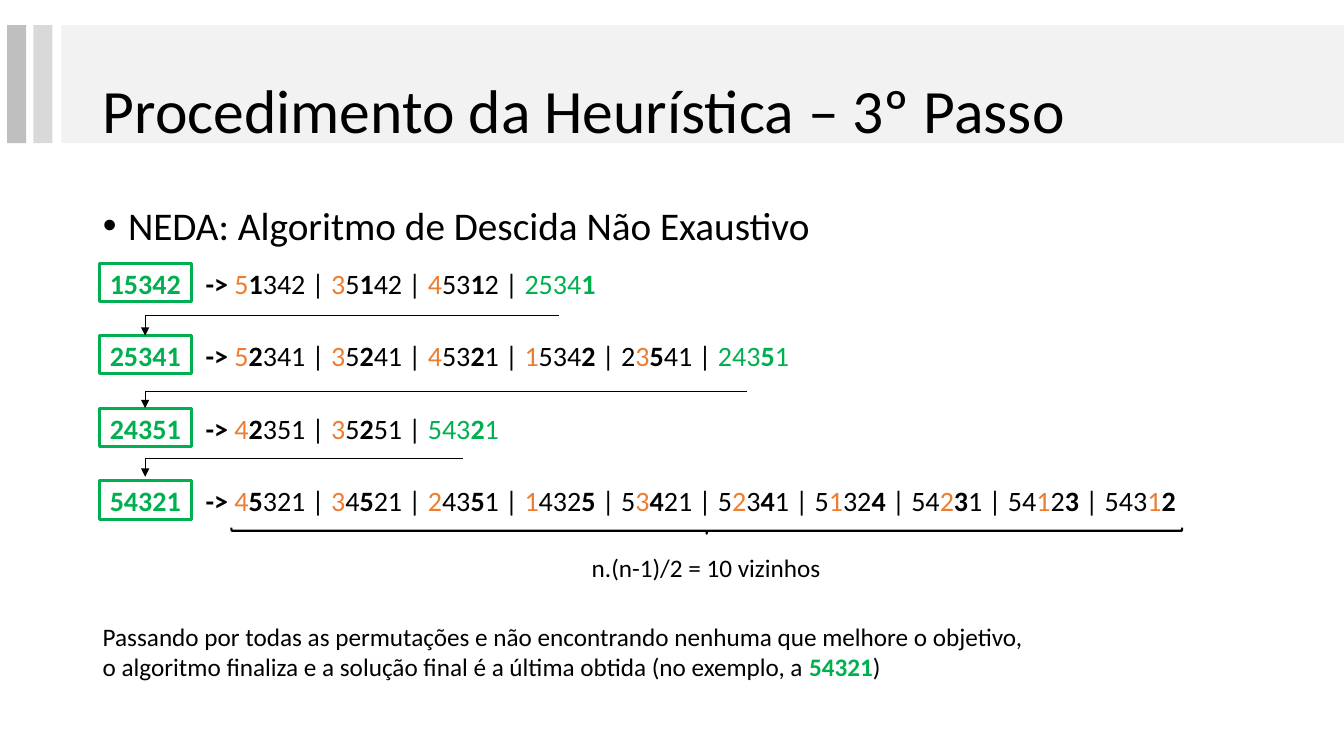
from dataclasses import dataclass
from itertools import combinations

from lxml import etree
from pptx import Presentation
from pptx.dml.color import RGBColor
from pptx.enum.shapes import MSO_CONNECTOR, MSO_SHAPE
from pptx.enum.text import MSO_ANCHOR, MSO_AUTO_SIZE, PP_ALIGN
from pptx.oxml.ns import qn
from pptx.util import Inches, Pt

RECTANGLE, LEFT_BRACE = MSO_SHAPE.RECTANGLE, MSO_SHAPE.LEFT_BRACE
ELBOW = MSO_CONNECTOR.ELBOW
LEFT, MIDDLE, TOP = PP_ALIGN.LEFT, MSO_ANCHOR.MIDDLE, MSO_ANCHOR.TOP
NO_FIT, GROW = MSO_AUTO_SIZE.NONE, MSO_AUTO_SIZE.SHAPE_TO_FIT_TEXT


@dataclass(frozen=True)
class Theme:
    font: str = "Calibri"
    text: str = "000000"
    accepted: str = "00B050"
    swapped: str = "ED7D31"
    bars: tuple = ("F2F2F2", "D9D9D9", "BFBFBF")
    title_size: int = 44
    list_size: int = 28
    row_size: int = 20
    note_size: int = 18


class SlideBuilder:
    def __init__(self, slide, theme):
        self.slide, self.theme = slide, theme

    def style(self, run, size, color=None, bold=False):
        run.font.name, run.font.size, run.font.bold = self.theme.font, Pt(size), bold
        run.font.color.rgb = RGBColor.from_string(color or self.theme.text)

    def placeholder(self, index, text, box, size, anchor):
        holder = self.slide.placeholders[index]
        holder.left, holder.top, holder.width, holder.height = map(Inches, box)
        frame = holder.text_frame
        frame.text = text
        frame.auto_size, frame.vertical_anchor = NO_FIT, anchor
        paragraph = frame.paragraphs[0]
        paragraph.alignment, paragraph.line_spacing = LEFT, 0.9
        self.style(paragraph.runs[0], size)
        return paragraph

    def bullet(self, paragraph, indent):
        paragraph.space_before = Pt(10)
        properties = paragraph._p.get_or_add_pPr()
        properties.set("marL", str(Inches(indent)))
        properties.set("indent", str(-Inches(indent)))

    def text(self, box, pieces, size, tab=None):
        """Each piece is (text, colour, bold)."""
        frame = self.slide.shapes.add_textbox(*map(Inches, box)).text_frame
        frame.word_wrap, frame.auto_size = True, GROW
        paragraph = frame.paragraphs[0]
        if tab:
            stops = etree.SubElement(paragraph._p.get_or_add_pPr(), qn("a:tabLst"))
            etree.SubElement(stops, qn("a:tab"), pos=str(Inches(tab)), algn="l")
        for words, color, bold in pieces:
            run = paragraph.add_run()
            run.text = words
            self.style(run, size, color, bold)

    def shape(self, kind, box, fill=None, line=None, weight=1, parent=None):
        shapes = (parent or self.slide).shapes
        item = shapes.add_shape(kind, *map(Inches, box))
        item.shadow.inherit = False
        if fill:
            item.fill.solid()
            item.fill.fore_color.rgb = RGBColor.from_string(fill)
        else:
            item.fill.background()
        if line:
            item.line.color.rgb = RGBColor.from_string(line)
            item.line.width = Pt(weight)
        else:
            item.line.fill.background()
        return item

    def header_bars(self, boxes):
        group = self.slide.shapes.add_group_shape()
        for box, color in zip(boxes, self.theme.bars):
            self.shape(RECTANGLE, box, fill=color, parent=group)
        # Behind the title
        self.slide.shapes._spTree.insert(2, group._element)

    def corner_arrow(self, start, end):
        arrow = self.slide.shapes.add_connector(ELBOW, *map(Inches, start + end))
        arrow.line.color.rgb = RGBColor.from_string(self.theme.text)
        arrow.line.width = Pt(0.5)
        properties = arrow._element.spPr
        properties.find(qn("a:prstGeom")).set("prst", "bentConnector2")
        etree.SubElement(arrow.line._get_or_add_ln(), qn("a:tailEnd"), type="triangle")
        etree.SubElement(properties, qn("a:effectLst"))


def search_row(solution, neighbours, improves, theme):
    """Colour the two swapped digits of each neighbour; the last may be accepted."""
    pieces = [(solution, theme.accepted, True), ("\t-> ", theme.text, True)]
    swaps = combinations(range(len(solution)), 2)
    for number, (neighbour, (first, second)) in enumerate(zip(neighbours, swaps), 1):
        accepted = improves and number == len(neighbours)
        base = theme.accepted if accepted else theme.text
        for position, digit in enumerate(neighbour):
            swapped = position == first and not accepted
            pieces.append((digit, theme.swapped if swapped else base, position == second))
        if number < len(neighbours):
            pieces.append((" | ", theme.text, False))
    # Join neighbouring pieces of the same style
    merged = []
    for words, color, bold in pieces:
        if merged and merged[-1][1:] == (color, bold):
            words = merged.pop()[0] + words
        merged.append((words, color, bold))
    return merged


theme = Theme()
presentation = Presentation()
presentation.slide_width, presentation.slide_height = Inches(13.33), Inches(7.5)
builder = SlideBuilder(presentation.slides.add_slide(presentation.slide_layouts[1]), theme)

# Header and list
builder.header_bars([(left, 0.25, width, 1.17)
                     for left, width in ((0.61, 12.72), (0.33, 0.19), (0.07, 0.19))])
builder.placeholder(0, "Procedimento da Heurística – 3º Passo",
                    (0.92, 0.4, 11.5, 1.45), theme.title_size, MIDDLE)
algorithm = builder.placeholder(1, "NEDA: Algoritmo de Descida Não Exaustivo",
                                (0.92, 2, 11.76, 5.41), theme.list_size, TOP)
builder.bullet(algorithm, 0.25)

# Search steps: solution, neighbours, width of the row
steps = [
    ("15342", "51342 35142 45312 25341", 5.98),
    ("25341", "52341 35241 45321 15342 23541 24351", 9.55),
    ("24351", "42351 35251 54321", 9.55),
    ("54321", "45321 34521 24351 14325 53421 52341 51324 54231 54123 54312", 10.85),
]
row_left, first_row, row_pitch = 0.99, 2.59, 0.72
for index, (solution, neighbours, width) in enumerate(steps):
    top = first_row + index * row_pitch
    improves = index < len(steps) - 1
    builder.text((row_left, top, width, 0.44),
                 search_row(solution, neighbours.split(), improves, theme),
                 theme.row_size, tab=0.95)
    builder.shape(RECTANGLE, (row_left, top + 0.02, 0.91, 0.38),
                  line=theme.accepted, weight=2.25)

# Accepted neighbour becomes the next solution
for start_x, start_y, end_y in ((5.54, 3.13, 3.33), (7.41, 3.88, 4.05), (4.59, 4.55, 4.73)):
    builder.corner_arrow((start_x, start_y), (1.44, end_y))

# Neighbour count
brace = builder.shape(LEFT_BRACE, (6.98, 0.55, 0.06, 9.43), line=theme.text, weight=1.5)
brace.rotation = 270
builder.text((5.77, 5.43, 2.48, 0.4),
             [("n.(n-1)/2 = 10 vizinhos", theme.text, False)], theme.note_size)

# Conclusion
builder.text((0.92, 6.11, 9.42, 0.71), [
    ("Passando por todas as permutações e não encontrando nenhuma que melhore o objetivo, "
     "o algoritmo finaliza e a solução final é a última obtida (no exemplo, a ",
     theme.text, False),
    ("54321", theme.accepted, True),
    (")", theme.text, False),
], theme.note_size)

presentation.save("out.pptx")
